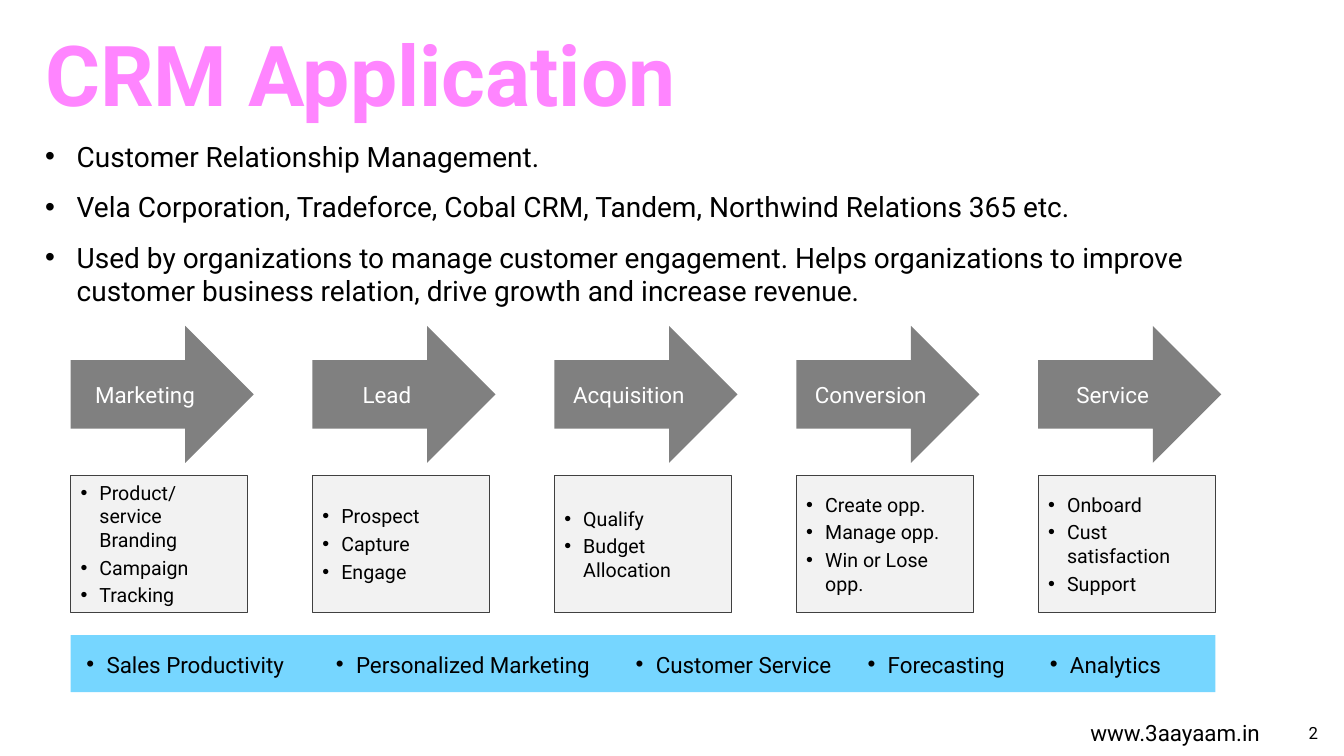
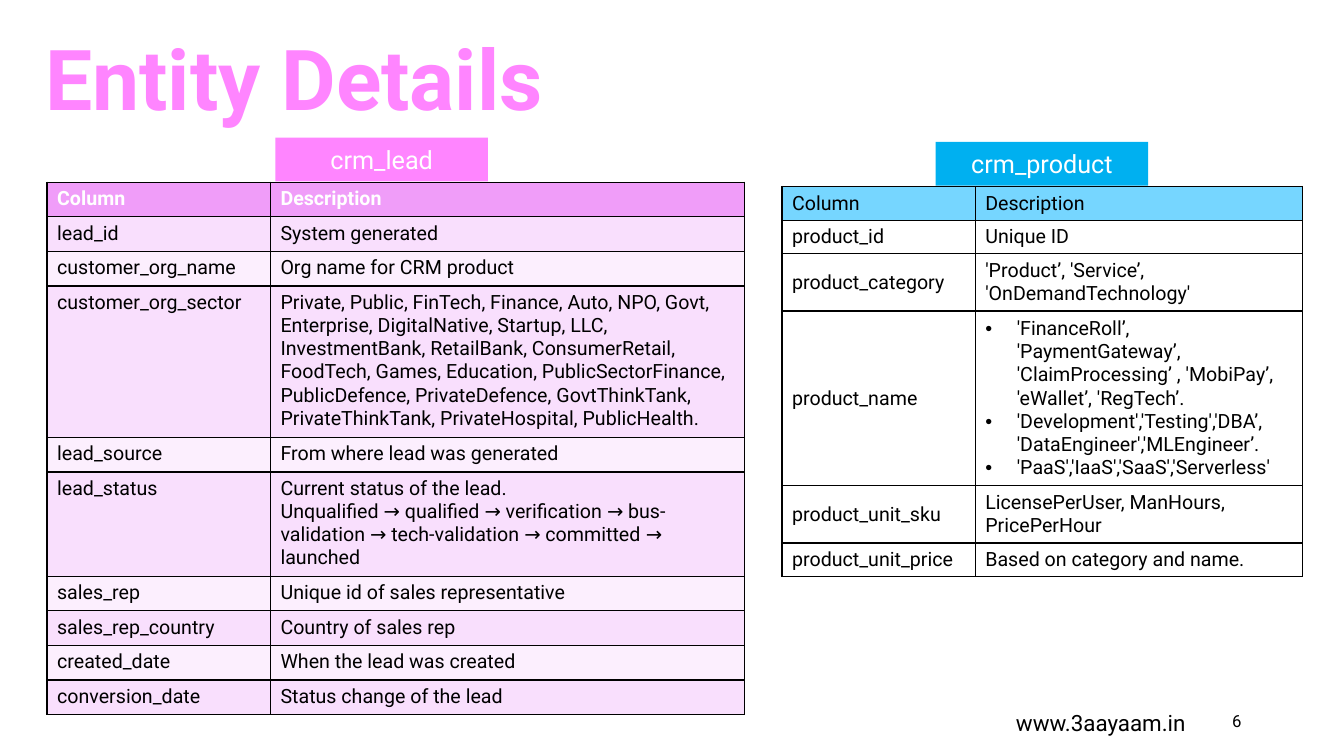
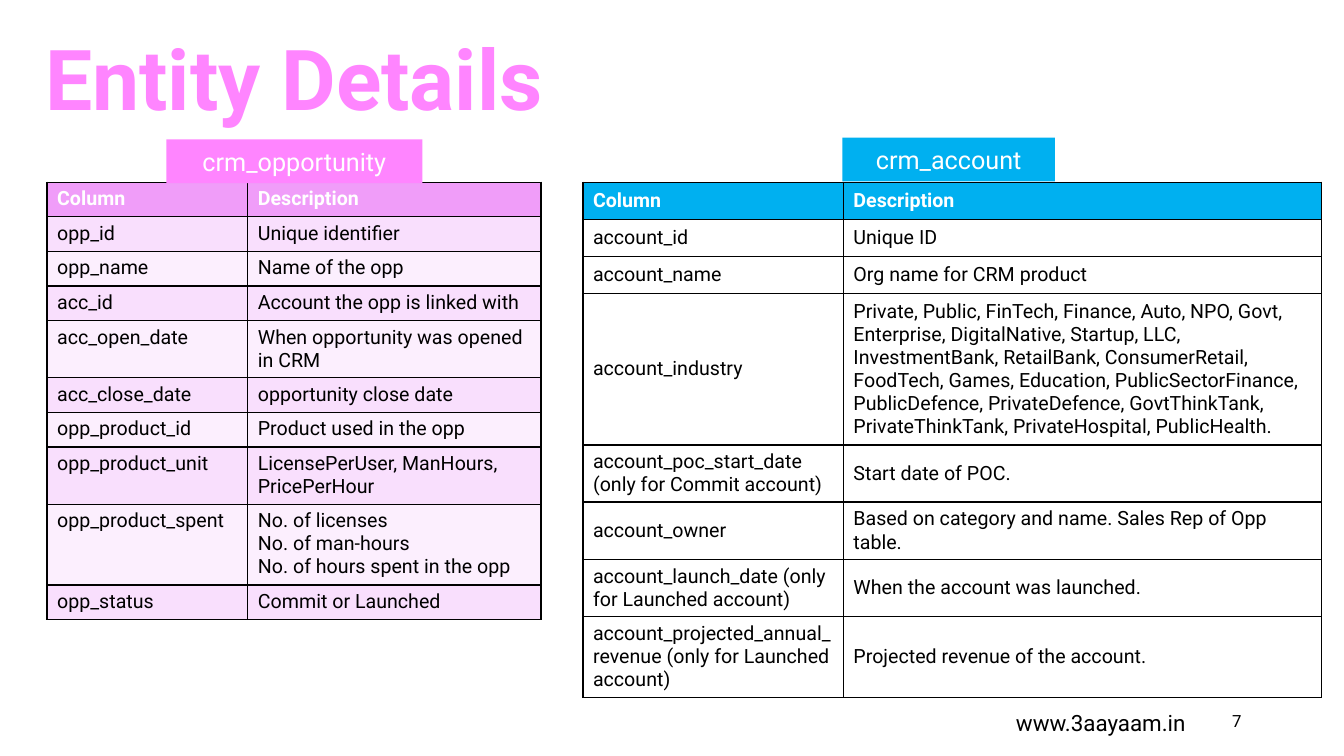
import lxml.etree
import pptx
import pptx.dml.color
import pptx.enum.shapes
import pptx.enum.text
import pptx.oxml.ns
import pptx.util

SHAPE = pptx.enum.shapes.MSO_SHAPE
ALIGN = pptx.enum.text.PP_ALIGN
ANCHOR = pptx.enum.text.MSO_ANCHOR
qn = pptx.oxml.ns.qn

COLOURS = {
    "ink": "000000", "paper": "FFFFFF", "pink": "FF85FF", "blue": "00B0F0",
    "sky": "76D6FF", "arrow": "808080", "box": "F2F2F2", "box_edge": "404040",
    "lilac_head": "F09DF9", "lilac": "F9DFFD", "lilac_pale": "FCEFFE",
}
GRID_COLUMNS, GRID_ROWS = 160, 90
FONT = "Roboto"

# Places are left, top, width, height in grid columns and rows.
OVERVIEW = {"title": (4.2, 1.8, 150.8, 13.7), "site": (123.6, 84.8, 32.6, 4.8),
            "number": (151.9, 84.8, 6.2, 4.8)}
ENTITIES = {"title": (4.2, 1.8, 150.8, 14.8), "site": (118.2, 83.6, 25.7, 4.8),
            "number": (113, 83.4, 36, 4.8)}

LILAC_TABLE = {"head": "lilac_head", "head_ink": "paper", "bold": True, "tag": "pink",
               "bands": ("lilac", "lilac_pale"), "anchor": ANCHOR.TOP, "row": 4.12}
SKY_TABLE = {"head": "sky", "head_ink": "ink", "bold": False, "tag": "blue",
             "bands": (None,), "anchor": ANCHOR.MIDDLE, "row": 3.95}
BLUE_TABLE = {**SKY_TABLE, "head": "blue", "head_ink": "paper", "bold": True, "row": 4.42}
CELL_LINE, CELL_MARGINS = 2.75, 1.2

SUMMARY = [
    "Customer Relationship Management.",
    "Vela Corporation, Tradeforce, Cobal CRM, Tandem, Northwind Relations 365 etc.",
    "Used by organizations to manage customer engagement. Helps organizations to improve "
    "customer business relation, drive growth and increase revenue.",
]
STAGES = [
    ("Marketing", ["Product/service Branding", "Campaign", "Tracking"]),
    ("Lead", ["Prospect", "Capture", "Engage"]),
    ("Acquisition", ["Qualify", "Budget Allocation"]),
    ("Conversion", ["Create opp.", "Manage opp.", "Win or Lose opp."]),
    ("Service", ["Onboard", "Cust satisfaction", "Support"]),
]
STAGE_LEFT, STAGE_PITCH = 8.4, 28.8
BENEFITS = [
    ("Sales Productivity", 9.1, 26.4), ("Personalized Marketing", 38.8, 32.6),
    ("Customer Service", 74.5, 26.4), ("Forecasting", 102.1, 21), ("Analytics", 123.8, 21),
]

SECTORS = (
    "Private, Public, FinTech, Finance, Auto, NPO, Govt, Enterprise, DigitalNative, Startup, "
    "LLC, InvestmentBank, RetailBank, ConsumerRetail, FoodTech, Games, Education, "
    "PublicSectorFinance, PublicDefence, PrivateDefence, GovtThinkTank, PrivateThinkTank, "
    "PrivateHospital, PublicHealth."
)
UNITS = "LicensePerUser, ManHours, PricePerHour"

# Each row is a column name, its description and the number of text lines it takes.
LEAD = [
    ("lead_id", "System generated", 1),
    ("customer_org_name", "Org name for CRM product", 1),
    ("customer_org_sector", SECTORS, 6),
    ("lead_source", "From where lead was generated", 1),
    ("lead_status", "Current status of the lead.\nUnqualified → qualified → verification → "
     "bus-validation → tech-validation → committed → launched", 4),
    ("sales_rep", "Unique id of sales representative", 1),
    ("sales_rep_country", "Country of sales rep", 1),
    ("created_date", "When the lead was created", 1),
    ("conversion_date", "Status change of the lead", 1),
]
PRODUCT = [
    ("product_id", "Unique ID", 1),
    ("product_category", "'Product’, 'Service’, 'OnDemandTechnology'", 2),
    ("product_name", [
        "'FinanceRoll’, 'PaymentGateway’, 'ClaimProcessing’ , 'MobiPay’, 'eWallet’, 'RegTech’.",
        "'Development','Testing','DBA’, 'DataEngineer','MLEngineer’.",
        "'PaaS','IaaS','SaaS','Serverless'"], 7),
    ("product_unit_sku", UNITS, 2),
    ("product_unit_price", "Based on category and name.", 1),
]
OPPORTUNITY = [
    ("opp_id", "Unique identifier", 1),
    ("opp_name", "Name of the opp", 1),
    ("acc_id", "Account the opp is linked with", 1),
    ("acc_open_date", "When opportunity was opened in CRM", 2),
    ("acc_close_date", "opportunity close date", 1),
    ("opp_product_id", "Product used in the opp", 1),
    ("opp_product_unit", UNITS, 2),
    ("opp_product_spent",
     "No. of licenses\nNo. of man-hours\nNo. of hours spent in the opp", 3),
    ("opp_status", "Commit or Launched", 1),
]
ACCOUNT = [
    ("account_id", "Unique ID", 1),
    ("account_name", "Org name for CRM product", 1),
    ("account_industry", SECTORS, 6),
    ("account_poc_start_date (only for Commit account)", "Start date of POC.", 2),
    ("account_owner", "Based on category and name. Sales Rep of Opp table.", 2),
    ("account_launch_date (only for Launched account)", "When the account was launched.", 2),
    ("account_projected_annual_revenue (only for Launched account)",
     "Projected revenue of the account.", 3),
]


def rgb(name):
    return pptx.dml.color.RGBColor.from_string(COLOURS[name])


class Deck:
    """Holds the shared style and the slide being built."""

    def __init__(self):
        self.show = pptx.Presentation()
        self.show.slide_width = pptx.util.Inches(13.33)
        self.show.slide_height = pptx.util.Inches(7.5)
        self.slide = None

    def across(self, columns):
        return round(self.show.slide_width * columns / GRID_COLUMNS)

    def down(self, rows):
        return round(self.show.slide_height * rows / GRID_ROWS)

    def place(self, area):
        left, top, width, height = area
        return self.across(left), self.down(top), self.across(width), self.down(height)

    def paint(self, fill, colour):
        if colour is None:
            fill.background()
        else:
            fill.solid()
            fill.fore_color.rgb = rgb(colour)

    def typeset(self, frame, texts, size, colour="ink", bold=False, align=ALIGN.LEFT,
                bullet_indent=0, before=0, after=0):
        frame.word_wrap = True
        for index, text in enumerate(texts):
            paragraph = frame.add_paragraph() if index else frame.paragraphs[0]
            spacing = {"alignment": align, "space_after": pptx.util.Pt(after),
                       "space_before": pptx.util.Pt(before if index else 0)}
            for name, value in spacing.items():
                setattr(paragraph, name, value)
            if bullet_indent:
                hang = self.across(bullet_indent)
                properties = paragraph._p.get_or_add_pPr()
                properties.set("marL", str(hang))
                properties.set("indent", str(-hang))
                lxml.etree.SubElement(properties, qn("a:buFont"), typeface="Arial")
                lxml.etree.SubElement(properties, qn("a:buChar"), char="•")
            run = paragraph.add_run()
            run.text = text
            look = {"name": FONT, "size": pptx.util.Pt(size), "bold": bold}
            for name, value in look.items():
                setattr(run.font, name, value)
            run.font.color.rgb = rgb(colour)

    def text(self, area, texts, size, anchor=ANCHOR.TOP, **style):
        frame = self.slide.shapes.add_textbox(*self.place(area)).text_frame
        frame.vertical_anchor = anchor
        self.typeset(frame, texts, size, **style)

    def shape(self, kind, area, fill, texts=(), size=16, edge=None, **style):
        block = self.slide.shapes.add_shape(kind, *self.place(area))
        block.shadow.inherit = False
        self.paint(block.fill, fill)
        self.paint(block.line.fill, edge)
        if edge:
            block.line.width = pptx.util.Pt(0.75)
        block.text_frame.vertical_anchor = ANCHOR.MIDDLE
        self.typeset(block.text_frame, texts, size, **style)

    def page(self, title, number, places):
        """Starts a slide with its title, site address and number."""
        self.slide = self.show.slides.add_slide(self.show.slide_layouts[6])
        self.text(places["site"], ["www.3aayaam.in"], 16, ANCHOR.MIDDLE, align=ALIGN.CENTER)
        self.text(places["number"], [str(number)], 12, ANCHOR.MIDDLE, align=ALIGN.RIGHT)
        self.text(places["title"], [title], 60, ANCHOR.MIDDLE, colour="pink", bold=True)

    def cell(self, cell, content, fill, anchor, **style):
        """Fills a cell; a list becomes bullets, a string becomes plain lines."""
        properties = cell._tc.get_or_add_tcPr()
        for side in ("lnL", "lnR", "lnT", "lnB"):
            border = lxml.etree.SubElement(properties, qn("a:" + side), w="12700")
            solid = lxml.etree.SubElement(border, qn("a:solidFill"))
            lxml.etree.SubElement(solid, qn("a:srgbClr"), val=COLOURS["ink"])
        self.paint(cell.fill, fill)
        cell.vertical_anchor = anchor
        if isinstance(content, list):
            self.typeset(cell.text_frame, content, 14, bullet_indent=3.75, **style)
        else:
            self.typeset(cell.text_frame, content.split("\n"), 14, **style)

    def entity(self, name, tag_area, corner, widths, rows, look):
        """Draws an entity table with the tag that names it."""
        heights = [max(look["row"], CELL_MARGINS + CELL_LINE * lines)
                   for lines in [1] + [row[2] for row in rows]]
        table = self.slide.shapes.add_table(
            len(heights), len(widths),
            *self.place((*corner, sum(widths), sum(heights)))).table
        table.first_row = table.horz_banding = False
        for column, width in zip(table.columns, widths):
            column.width = self.across(width)
        for row, height in zip(table.rows, heights):
            row.height = self.down(height)
        for column, heading in enumerate(("Column", "Description")):
            self.cell(table.cell(0, column), heading, look["head"], look["anchor"],
                      colour=look["head_ink"], bold=look["bold"])
            for index, row in enumerate(rows):
                band = look["bands"][index % len(look["bands"])]
                self.cell(table.cell(index + 1, column), row[column], band, look["anchor"])
        self.shape(SHAPE.RECTANGLE, tag_area, look["tag"], [name], 18,
                   colour="paper", align=ALIGN.CENTER)


def main():
    deck = Deck()

    deck.page("CRM Application", 2, OVERVIEW)
    deck.text((4.2, 16, 150.8, 21.4), SUMMARY, 20, bullet_indent=3.75, before=6, after=6)
    for index, (stage, tasks) in enumerate(STAGES):
        left = STAGE_LEFT + index * STAGE_PITCH
        deck.shape(SHAPE.RIGHT_ARROW, (left, 38.8, 21.8, 16.3), "arrow", [stage],
                   colour="paper", align=ALIGN.CENTER)
        deck.shape(SHAPE.RECTANGLE, (left, 56.6, 21.1, 16.3), "box", tasks, 14,
                   edge="box_edge", bullet_indent=2.25, after=3)
    deck.shape(SHAPE.RECTANGLE, (STAGE_LEFT, 75.6, 136.3, 6.8), "sky")
    for benefit, left, width in BENEFITS:
        deck.text((left, 76.9, width, 4.4), [benefit], 16, bullet_indent=2.4, after=6)

    deck.page("Entity Details", 6, ENTITIES)
    deck.entity("crm_lead", (32.8, 16.4, 25.3, 5.2), (5.6, 21.7), (26.6, 56.4),
                LEAD, LILAC_TABLE)
    deck.entity("crm_product", (111.4, 16.9, 25.3, 5.2), (93.1, 22.2), (23, 39),
                PRODUCT, SKY_TABLE)

    deck.page("Entity Details", 7, ENTITIES)
    deck.entity("crm_opportunity", (19.8, 16.6, 30.5, 5.2), (5.6, 21.7), (23.9, 34.9),
                OPPORTUNITY, LILAC_TABLE)
    deck.entity("crm_account", (100.3, 16.4, 25.3, 5.2), (69.4, 21.7), (31, 56.9),
                ACCOUNT, BLUE_TABLE)

    deck.show.save("out.pptx")


if __name__ == "__main__":
    main()
